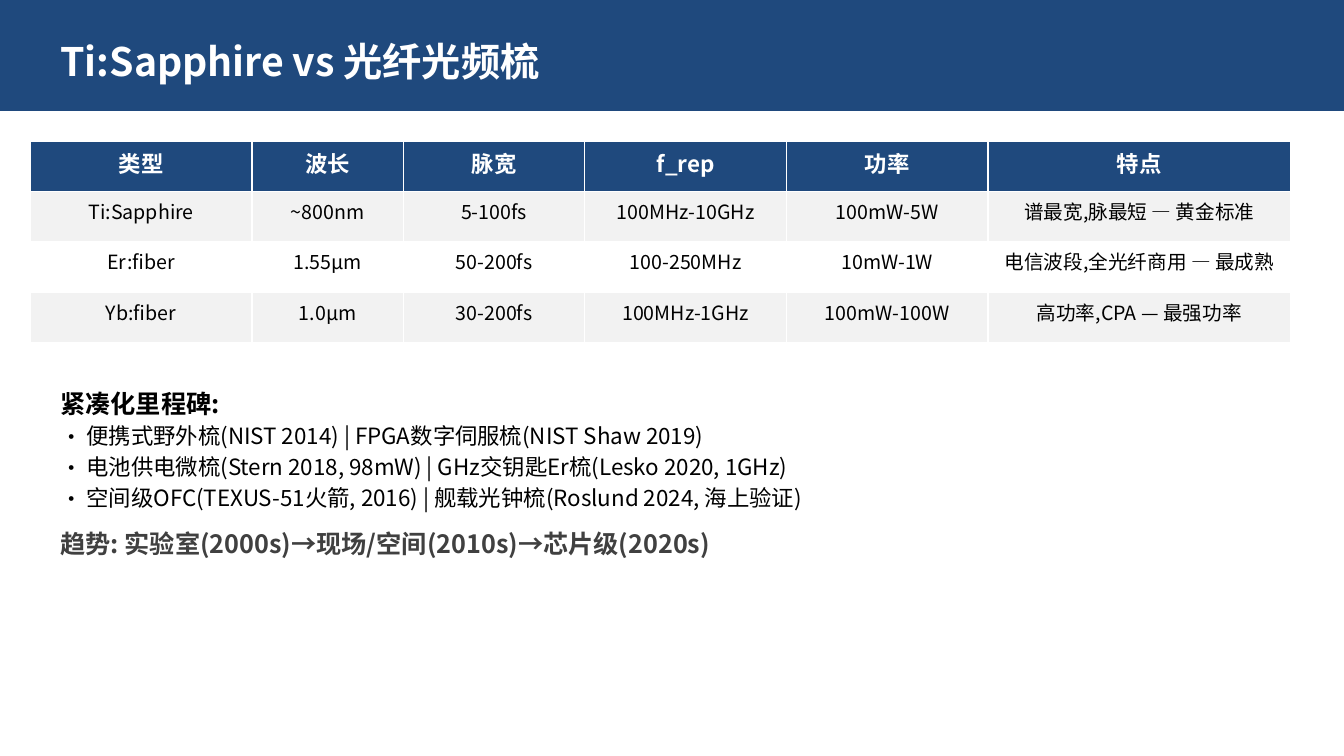
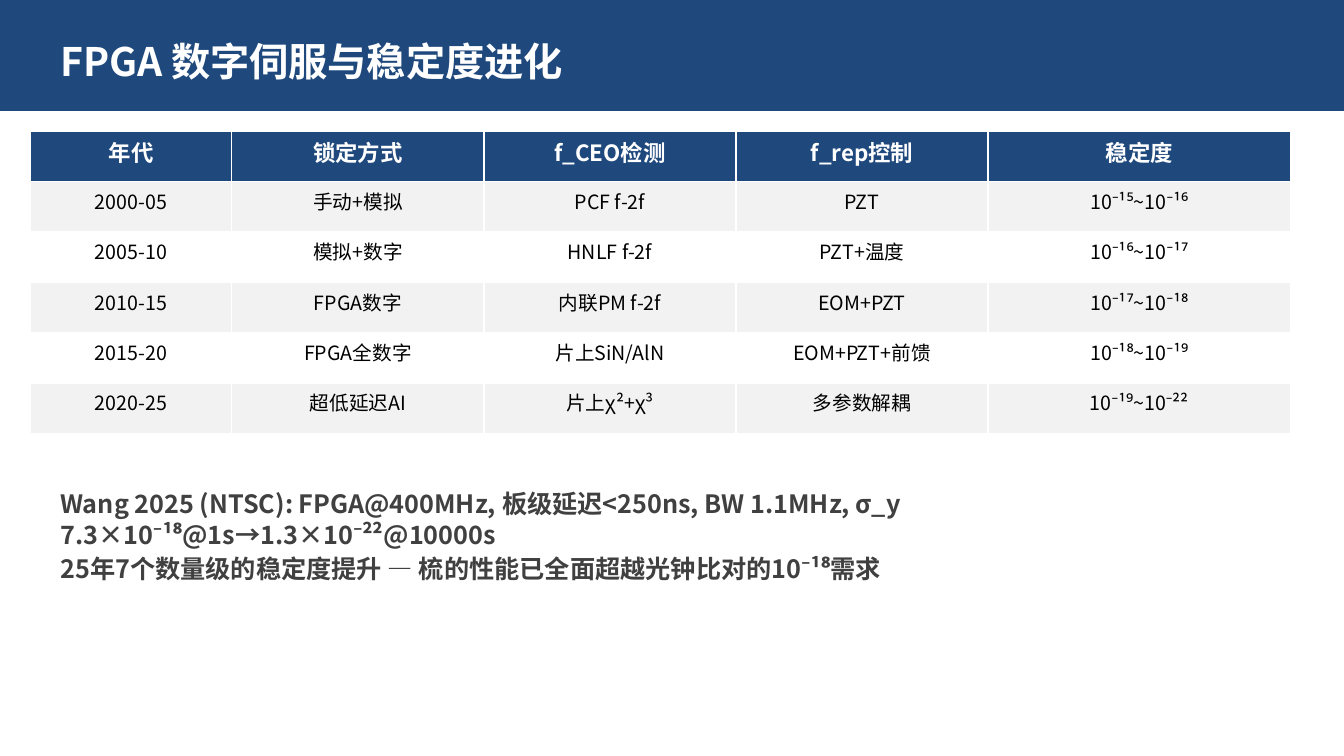
"""Build two slides comparing optical frequency combs and their servo stability."""
import pptx
import pptx.dml.color
import pptx.enum.text
import pptx.oxml.xmlchemy
import pptx.util

PX = 9144
SLIDE_W, SLIDE_H = 1333, 750
FONT = "Noto Sans CJK SC"
COLORS = {
    "band": "1F497D",
    "white": "FFFFFF",
    "stripe": "F2F2F2",
    "ink": "000000",
    "accent": "404040",
}
BULLET_INDENT = 26
ROW_H = 50
TABLE_LEFT = 30
NOTES_LEFT, NOTES_W = 50, 1200
ALIGN = pptx.enum.text.PP_ALIGN

HEADING = {"size": 18, "bold": True, "after": 3}
ITEM = {"size": 16, "bullet": True, "after": 3}
CONCLUSION = {"size": 18, "bold": True, "color": "accent", "after": 3}

COMB_TYPES = [
    ["类型", "波长", "脉宽", "f_rep", "功率", "特点"],
    ["Ti:Sapphire", "~800nm", "5-100fs", "100MHz-10GHz", "100mW-5W", "谱最宽,脉最短 — 黄金标准"],
    ["Er:fiber", "1.55μm", "50-200fs", "100-250MHz", "10mW-1W", "电信波段,全光纤商用 — 最成熟"],
    ["Yb:fiber", "1.0μm", "30-200fs", "100MHz-1GHz", "100mW-100W", "高功率,CPA — 最强功率"],
]
MILESTONES = [
    ("紧凑化里程碑:", HEADING),
    ("便携式野外梳(NIST 2014) | FPGA数字伺服梳(NIST Shaw 2019)", ITEM),
    ("电池供电微梳(Stern 2018, 98mW) | GHz交钥匙Er梳(Lesko 2020, 1GHz)", ITEM),
    ("空间级OFC(TEXUS-51火箭, 2016) | 舰载光钟梳(Roslund 2024, 海上验证)", ITEM),
    ("趋势: 实验室(2000s)→现场/空间(2010s)→芯片级(2020s)", {**CONCLUSION, "before": 9}),
]
SERVO_ERAS = [
    ["年代", "锁定方式", "f_CEO检测", "f_rep控制", "稳定度"],
    ["2000-05", "手动+模拟", "PCF f-2f", "PZT", "10⁻¹⁵~10⁻¹⁶"],
    ["2005-10", "模拟+数字", "HNLF f-2f", "PZT+温度", "10⁻¹⁶~10⁻¹⁷"],
    ["2010-15", "FPGA数字", "内联PM f-2f", "EOM+PZT", "10⁻¹⁷~10⁻¹⁸"],
    ["2015-20", "FPGA全数字", "片上SiN/AlN", "EOM+PZT+前馈", "10⁻¹⁸~10⁻¹⁹"],
    ["2020-25", "超低延迟AI", "片上χ²+χ³", "多参数解耦", "10⁻¹⁹~10⁻²²"],
]
STABILITY = [
    ("Wang 2025 (NTSC): FPGA@400MHz, 板级延迟<250ns, BW 1.1MHz, "
     "σ_y 7.3×10⁻¹⁸@1s→1.3×10⁻²²@10000s", CONCLUSION),
    ("25年7个数量级的稳定度提升 — 梳的性能已全面超越光钟比对的10⁻¹⁸需求", CONCLUSION),
]


def px(length):
    """Turn px into EMU."""
    return pptx.util.Emu(length * PX)


def rgb(name):
    """Look up a palette colour."""
    return pptx.dml.color.RGBColor.from_string(COLORS[name])


def paint(part, color):
    """Give a shape or cell a solid fill."""
    part.fill.solid()
    part.fill.fore_color.rgb = rgb(color)


def write(paragraph, text, size=14, bold=False, color="ink", align=ALIGN.LEFT,
          bullet=False, before=0, after=0):
    """Put formatted text into a paragraph."""
    paragraph.alignment = align
    paragraph.space_before = pptx.util.Pt(before)
    paragraph.space_after = pptx.util.Pt(after)
    if bullet:
        properties = paragraph._p.get_or_add_pPr()
        properties.set("marL", str(px(BULLET_INDENT)))
        properties.set("indent", str(-px(BULLET_INDENT)))
        for tag, key, value in (("a:buFont", "typeface", FONT), ("a:buChar", "char", "•")):
            mark = pptx.oxml.xmlchemy.OxmlElement(tag)
            mark.set(key, value)
            properties.append(mark)
    run = paragraph.add_run()
    run.text = text
    run.font.name = FONT
    run.font.size = pptx.util.Pt(size)
    run.font.bold = bold
    run.font.color.rgb = rgb(color)


def add_title_band(slide, text, left=0, top=0, width=SLIDE_W, height=110):
    """Turn the title placeholder into the band across the top."""
    band = slide.shapes.title
    band.left, band.top, band.width, band.height = map(px, (left, top, width, height))
    paint(band, "band")
    frame = band.text_frame
    frame.auto_size = pptx.enum.text.MSO_AUTO_SIZE.NONE
    frame.vertical_anchor = pptx.enum.text.MSO_ANCHOR.MIDDLE
    frame.margin_left, frame.margin_top = px(60), px(15)
    frame.margin_right, frame.margin_bottom = px(10), px(5)
    write(frame.paragraphs[0], text, size=28, bold=True, color="white")


def add_comparison(slide, rows, widths, top, left=TABLE_LEFT):
    """Place a table with a dark header and striped rows."""
    comparison = slide.shapes.add_table(
        len(rows), len(widths), px(left), px(top),
        px(sum(widths)), px(ROW_H * len(rows))).table
    for column, width in zip(comparison.columns, widths):
        column.width = px(width)
    for r, row in enumerate(rows):
        header = r == 0
        fill = "band" if header else ("white", "stripe")[r % 2]
        for c, text in enumerate(row):
            cell = comparison.cell(r, c)
            paint(cell, fill)
            write(cell.text_frame.paragraphs[0], text, size=16 if header else 14,
                  bold=header, color="white" if header else "ink", align=ALIGN.CENTER)


def add_notes_block(slide, lines, top, height, left=NOTES_LEFT, width=NOTES_W):
    """Place the remarks below the table."""
    frame = slide.shapes.add_textbox(px(left), px(top), px(width), px(height)).text_frame
    frame.word_wrap = True
    for i, (text, style) in enumerate(lines):
        paragraph = frame.add_paragraph() if i else frame.paragraphs[0]
        write(paragraph, text, **style)


def add_comparison_slide(deck, title, rows, widths, table_top, lines, lines_top, lines_h):
    """Add a slide with a title band, a table and remarks."""
    slide = deck.slides.add_slide(deck.slide_layouts[5])
    add_title_band(slide, title)
    add_comparison(slide, rows, widths, table_top)
    add_notes_block(slide, lines, lines_top, lines_h)


def main():
    """Build and save the deck."""
    deck = pptx.Presentation()
    deck.slide_width, deck.slide_height = px(SLIDE_W), px(SLIDE_H)
    add_comparison_slide(deck, "Ti:Sapphire vs 光纤光频梳", COMB_TYPES,
                         [220, 150, 180, 200, 200, 300], 140, MILESTONES, 380, 300)
    add_comparison_slide(deck, "FPGA 数字伺服与稳定度进化", SERVO_ERAS,
                         [200, 250, 250, 250, 300], 130, STABILITY, 480, 230)
    deck.save("out.pptx")


if __name__ == "__main__":
    main()
